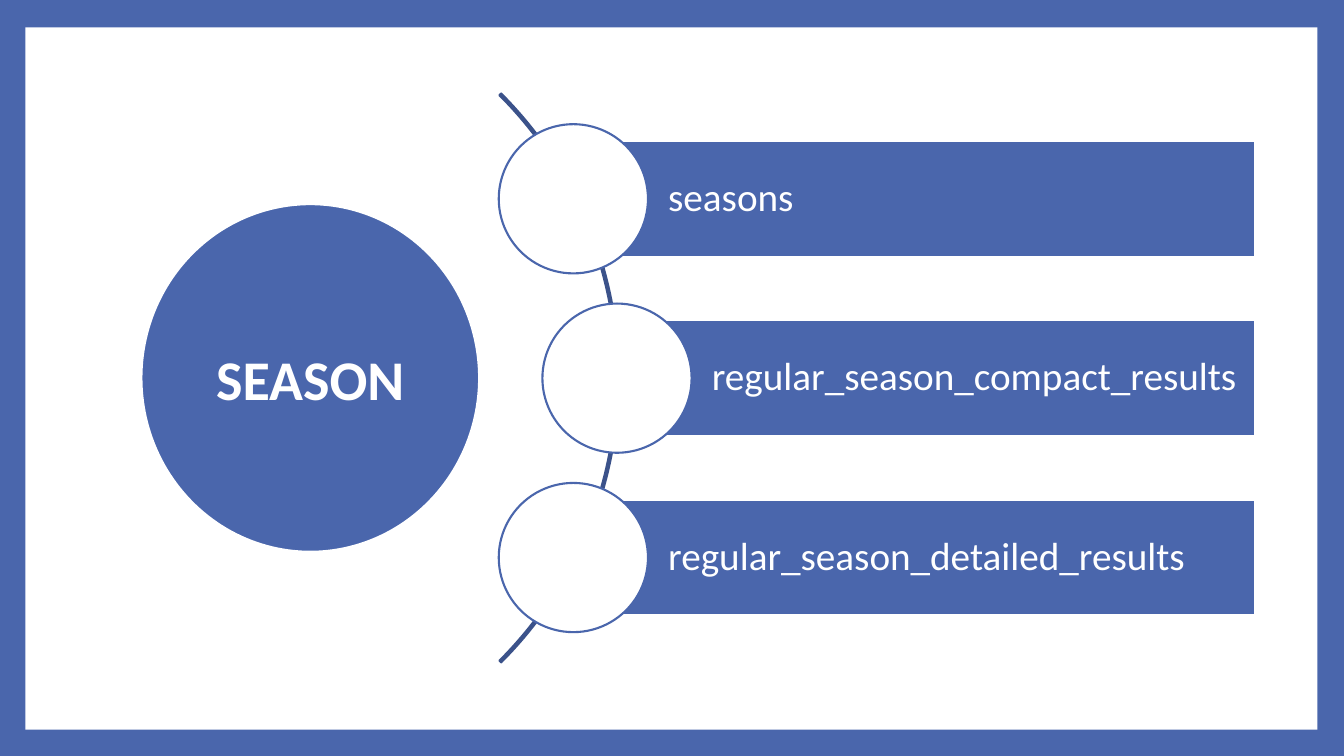
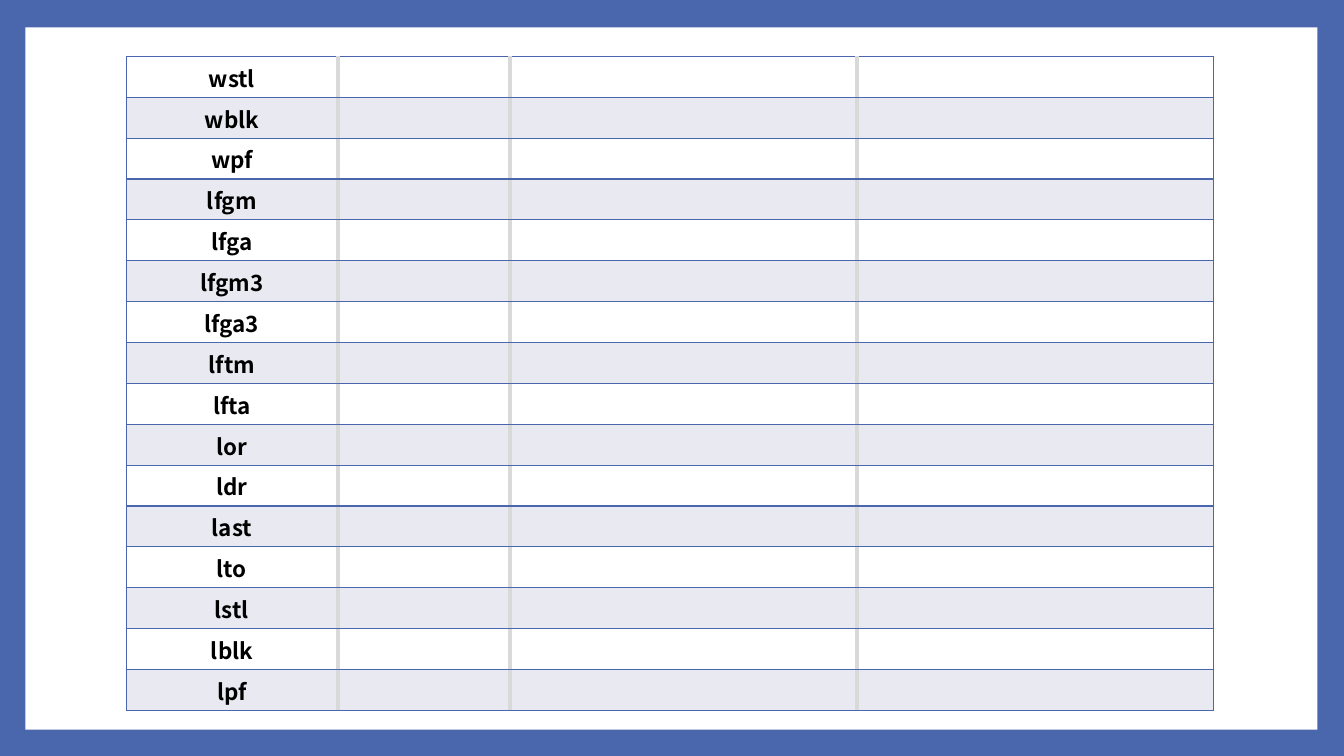
from lxml.etree import SubElement
from pptx import Presentation
from pptx.dml.color import RGBColor
from pptx.enum.shapes import MSO_SHAPE
from pptx.enum.text import MSO_ANCHOR, PP_ALIGN
from pptx.oxml import parse_xml
from pptx.oxml.ns import nsdecls, qn
from pptx.util import Cm, Pt

BLUE = RGBColor(0x4A, 0x66, 0xAC)
DARK_BLUE = RGBColor(0x3B, 0x52, 0x8A)
PALE_BLUE = RGBColor(0xE9, 0xEA, 0xF1)
GREY = RGBColor(0xD9, 0xD9, 0xD9)
WHITE = RGBColor(0xFF, 0xFF, 0xFF)
BLACK = RGBColor(0x00, 0x00, 0x00)

SEASON_TABLES = ["seasons", "regular_season_compact_results",
                 "regular_season_detailed_results"]
STAT_FIELDS = ["wstl", "wblk", "wpf", "lfgm", "lfga", "lfgm3", "lfga3", "lftm",
               "lfta", "lor", "ldr", "last", "lto", "lstl", "lblk", "lpf"]


class Deck:
    """Holds the shared style and the current slide; lengths are in cm."""

    BODY_FONT = "Calibri"
    TABLE_FONT = "Noto Sans CJK KR"

    def __init__(self):
        self.prs = Presentation()
        self.prs.slide_width, self.prs.slide_height = Cm(33.87), Cm(19.05)
        background = self.prs.slide_master.background.fill
        background.solid()
        background.fore_color.rgb = BLUE
        self.slide = None

    def new_slide(self):
        """Start an untitled slide with the white panel inside the blue frame."""
        self.slide = self.prs.slides.add_slide(self.prs.slide_layouts[6])
        self.shape(MSO_SHAPE.RECTANGLE, 0.64, 0.69, 32.56, 17.7, WHITE)

    def shape(self, kind, left, top, width, height, fill=None, line=None, weight=1.5):
        shape = self.slide.shapes.add_shape(
            kind, Cm(left), Cm(top), Cm(width), Cm(height))
        shape.shadow.inherit = False
        if fill is None:
            shape.fill.background()
        else:
            shape.fill.solid()
            shape.fill.fore_color.rgb = fill
        if line is None:
            shape.line.fill.background()
        else:
            shape.line.color.rgb = line
            shape.line.width = Pt(weight)
        return shape

    def label(self, frame, text, size, align, font=BODY_FONT, color=WHITE, bold=False):
        frame.word_wrap = True
        frame.vertical_anchor = MSO_ANCHOR.MIDDLE
        paragraph = frame.paragraphs[0]
        paragraph.text = text
        paragraph.alignment = align
        paragraph.font.name = font
        paragraph.font.size = Pt(size)
        paragraph.font.bold = bold
        paragraph.font.color.rgb = color
        return paragraph

    def arc(self, left, top, diameter):
        arc = self.shape(MSO_SHAPE.BLOCK_ARC, left, top, diameter, diameter,
                         line=DARK_BLUE)
        for index, value in enumerate((189, 27, 0.003)):
            arc.adjustments[index] = value

    def labelled_bar(self, text, left, top, right, height, knob):
        """A bar with a round knob centred on its left edge."""
        bar = self.shape(MSO_SHAPE.RECTANGLE, left, top, right - left, height,
                         BLUE, WHITE, 4.25)
        frame = bar.text_frame
        frame.margin_left = Cm(2.39)
        frame.margin_top = frame.margin_right = frame.margin_bottom = Cm(0.2)
        self.label(frame, text, 28, PP_ALIGN.LEFT).line_spacing = 0.9
        self.shape(MSO_SHAPE.OVAL, left - knob / 2, top + (height - knob) / 2,
                   knob, knob, WHITE, BLUE)

    def hub(self, text, left, top, width, height):
        hub = self.shape(MSO_SHAPE.OVAL, left, top, width, height, BLUE, WHITE, 8)
        self.label(hub.text_frame, text, 40, PP_ALIGN.CENTER, bold=True)

    def borders(self, cell, sides):
        """Draw the cell's borders, given as (colour, points) by left, right, top, bottom."""
        properties = cell._tc.get_or_add_tcPr()
        for index, (side, (color, points)) in enumerate(zip("LRTB", sides)):
            line = parse_xml(f'<a:ln{side} {nsdecls("a")} w="{Pt(points)}"/>')
            solid = SubElement(line, qn("a:solidFill"))
            SubElement(solid, qn("a:srgbClr"), val=str(color))
            properties.insert(index, line)

    def field_table(self, fields, left, top, widths, row_height):
        """A striped table with the field names in its first column."""
        table = self.slide.shapes.add_table(
            len(fields), len(widths), Cm(left), Cm(top),
            Cm(sum(widths)), Cm(row_height * len(fields))).table
        table.first_row = table.horz_banding = False
        for column, width in zip(table.columns, widths):
            column.width = Cm(width)
        outer, inner = (BLUE, 1), (GREY, 3)
        last = len(widths) - 1
        for r, field in enumerate(fields):
            table.rows[r].height = Cm(row_height)
            for c in range(len(widths)):
                cell = table.cell(r, c)
                cell.fill.solid()
                cell.fill.fore_color.rgb = PALE_BLUE if r % 2 else WHITE
                cell.margin_left = cell.margin_right = cell.margin_top = Cm(0.03)
                cell.margin_bottom = 0
                cell.vertical_anchor = MSO_ANCHOR.MIDDLE
                self.borders(cell, (outer if c == 0 else inner,
                                    outer if c == last else inner, outer, outer))
            self.label(table.cell(r, 0).text_frame, field, 16, PP_ALIGN.CENTER,
                       self.TABLE_FONT, BLACK, bold=True)


def main():
    deck = Deck()

    # Season hub and its tables
    deck.new_slide()
    deck.arc(-4.67, -0.61, 20.27)
    for index, name in enumerate(SEASON_TABLES):
        bar_left = 15.55 if index == 1 else 14.45
        deck.labelled_bar(name, bar_left, 3.5 + 4.52 * index, 31.67, 3.02, knob=3.76)
    deck.hub("SEASON", 3.45, 5.03, 8.74, 8.99)

    # Field list
    deck.new_slide()
    deck.field_table(STAT_FIELDS, 3.18, 1.42, (5.33, 4.34, 8.74, 9), 1.03)

    deck.prs.save("out.pptx")


if __name__ == "__main__":
    main()
